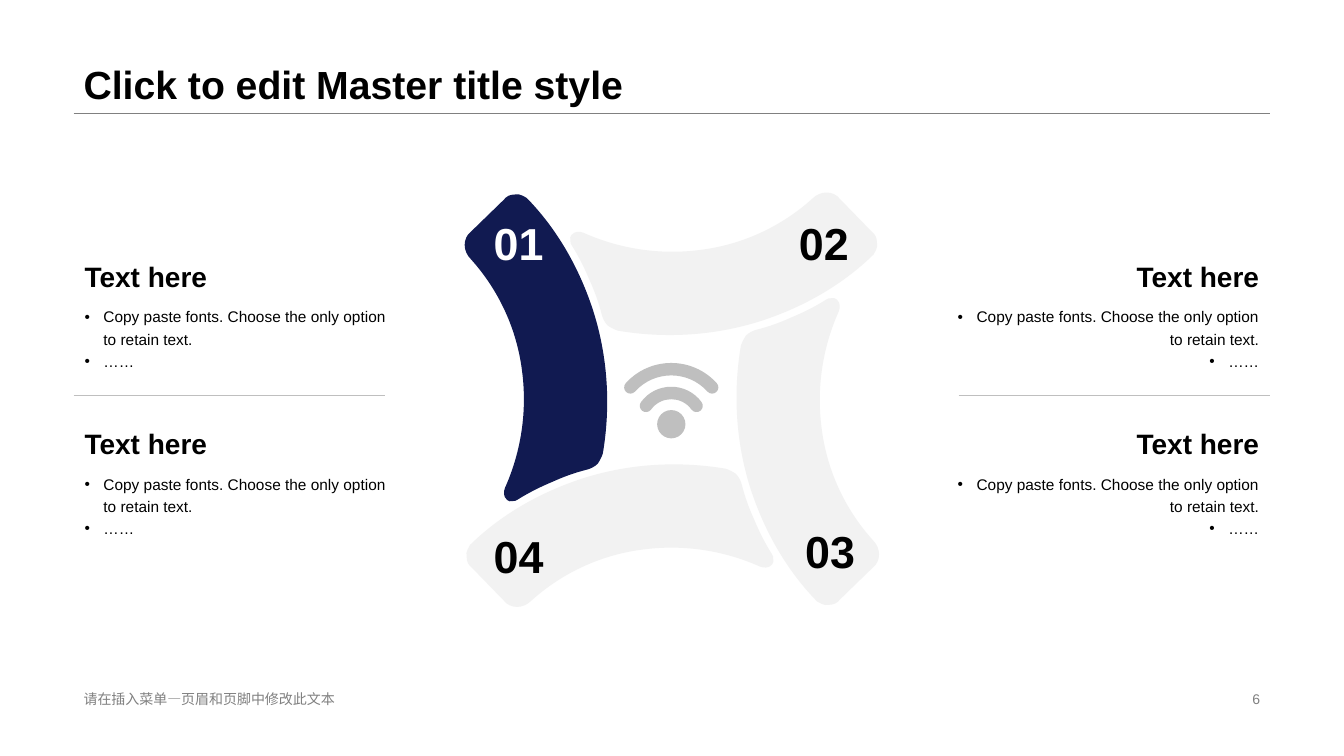
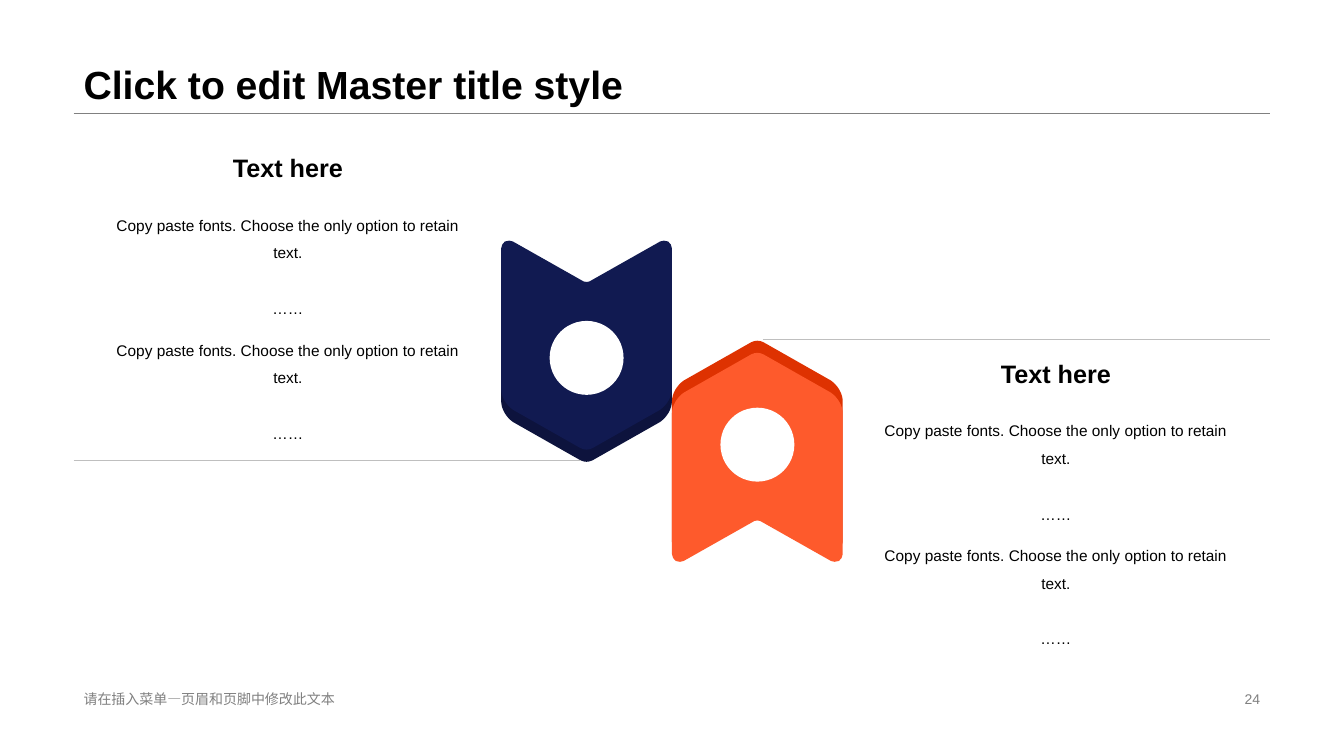
import math

from lxml import etree
from pptx import Presentation
from pptx.dml.color import RGBColor
from pptx.enum.shapes import MSO_CONNECTOR, MSO_SHAPE
from pptx.enum.text import MSO_ANCHOR, PP_ALIGN
from pptx.oxml.ns import qn
from pptx.util import Pt

LEFT, CENTER, RIGHT = PP_ALIGN.LEFT, PP_ALIGN.CENTER, PP_ALIGN.RIGHT
TOP, MIDDLE, BOTTOM = MSO_ANCHOR.TOP, MSO_ANCHOR.MIDDLE, MSO_ANCHOR.BOTTOM
STRAIGHT, ELLIPSE = MSO_CONNECTOR.STRAIGHT, MSO_SHAPE.OVAL

COLORS = {
    "text": "000000", "white": "FFFFFF", "muted": "808080", "rule": "BFBFBF",
    "pale": "F2F2F2", "navy": "111A51", "navy_dark": "0D133D",
    "orange": "FE5A2C", "orange_dark": "DE3201",
}
FONT = "Arial"
MARGIN, RIGHT_EDGE = 52.6, 907.2
TITLE = "Click to edit Master title style"
FOOTER = "请在插入菜单—页眉和页脚中修改此文本"
HEADING = "Text here"
BODY = ["Copy paste fonts. Choose the only option to retain text.", "……"]

# Outlines: one point is a straight edge, three points are a cubic curve.
# Blade points are measured from the centre of the pinwheel.
BLADE = [
    [(-63, -119.2)],
    [(-37.1, -107.6), (-8.3, -103.3), (19.8, -106.9)],
    [(50, -110.5), (78.1, -123.5), (100.4, -143.6)],
    [(103.3, -146.5), (106.9, -148), (110.5, -148)],
    [(114.1, -148), (117.7, -146.5), (119.9, -143.6)],
    [(142.9, -119.9)],
    [(145.1, -118.4), (146.5, -115.6), (146.5, -112.7)],
    [(147.2, -110.5), (146.5, -108.4), (145.8, -106.9)],
    [(145.1, -104.8), (143.6, -102.6), (141.5, -101.2)],
    [(119.2, -80.3), (91.8, -65.2), (62.3, -55.8)],
    [(29.9, -45.7), (-4.7, -43.6), (-38.5, -49.3)],
    [(-40.7, -50), (-43.6, -51.5), (-45.7, -52.9)],
    [(-47.9, -55.1), (-49.3, -58), (-50, -60.8)],
    [(-52.2, -69.5), (-55.1, -77.4), (-58.7, -85.3)],
    [(-62.3, -94), (-66.6, -102.6), (-71.6, -110.5)],
    [(-72.4, -111.2), (-72.4, -112.7), (-72.4, -113.4)],
    [(-73.1, -114.8), (-72.4, -117), (-71.6, -117.7)],
    [(-70.2, -119.2), (-68.8, -119.9), (-67.3, -119.9)],
    [(-65.9, -119.9), (-64.4, -119.9), (-63, -119.2)],
]
# Tag points are measured from its tip, which points down.
TAG = [
    [(-61, -43.9)],
    [(-61, -38.2), (-57.6, -32.4), (-52.6, -28.8)],
    [(-4.3, -1.4)],
    [(-1.4, 0), (1.4, 0), (4.3, -1.4)],
    [(52.6, -28.8)],
    [(57.6, -32.4), (61, -38.2), (61, -43.9)],
    [(61, -144)],
    [(61, -146.2), (59.8, -147.6), (58.3, -149)],
    [(56.2, -149.8), (54, -149.8), (52.6, -149)],
    [(4.3, -121.7)],
    [(1.4, -119.5), (-1.4, -119.5), (-4.3, -121.7)],
    [(-52.6, -149)],
    [(-54, -149.8), (-56.2, -149.8), (-58.3, -149)],
    [(-59.8, -147.6), (-61, -146.2), (-61, -144)],
]


def on_circle(center, radius, angle):
    """A point on a circle; the angle is in degrees, clockwise from the top."""
    turn = math.radians(angle)
    return center[0] + radius * math.sin(turn), center[1] - radius * math.cos(turn)


def arc(center, radius, start, end):
    """One cubic curve that follows a circle from start to end."""
    handle = radius * 4 / 3 * math.tan(math.radians(end - start) / 4)
    first, last = on_circle(center, radius, start), on_circle(center, radius, end)
    return [on_circle(first, handle, start + 90), on_circle(last, handle, end - 90), last]


def signal_band(radius, width, angle):
    """An arc of even width with round ends, around (0, 0)."""
    origin, half = (0, 0), width / 2
    right_end = on_circle(origin, radius, angle)
    left_end = on_circle(origin, radius, -angle)
    return [
        [on_circle(origin, radius + half, -angle)],
        arc(origin, radius + half, -angle, angle),
        arc(right_end, half, angle, angle + 90),
        arc(right_end, half, angle + 90, angle + 180),
        arc(origin, radius - half, angle, -angle),
        arc(left_end, half, 180 - angle, 270 - angle),
        arc(left_end, half, 270 - angle, 360 - angle),
    ]


class Deck:
    def __init__(self):
        self.presentation = Presentation()
        self.presentation.slide_width = Pt(960)
        self.presentation.slide_height = Pt(540)
        self.slide = None

    def new_slide(self, number):
        """Start a slide with its title, rule and footer."""
        self.slide = self.presentation.slides.add_slide(self.presentation.slide_layouts[6])
        width = RIGHT_EDGE - MARGIN
        self.line(MARGIN, RIGHT_EDGE, 80.6, "muted")
        self.text(MARGIN, 0, width, 80.6, [TITLE], 28, bold=True, anchor=BOTTOM, spacing=0.9)
        self.text(MARGIN, 491, 326, 16.6, [FOOTER], 10, "muted", anchor=MIDDLE)
        self.text(RIGHT_EDGE - 229, 491, 229, 16.6, [str(number)], 10, "muted",
                  align=RIGHT, anchor=MIDDLE)

    def line(self, x1, x2, y, color):
        connector = self.slide.shapes.add_connector(STRAIGHT, Pt(x1), Pt(y), Pt(x2), Pt(y))
        connector.line.color.rgb = RGBColor.from_string(COLORS[color])
        connector.line.width = Pt(0.25)
        etree.SubElement(connector._element.spPr, qn("a:effectLst"))

    def text(self, x, y, width, height, lines, size, color="text", bold=False,
             align=LEFT, anchor=TOP, spacing=1.0, gap=0, bullets=False):
        box = self.slide.shapes.add_textbox(Pt(x), Pt(y), Pt(width), Pt(height))
        frame = box.text_frame
        frame.word_wrap = True
        frame.vertical_anchor = anchor
        frame.text = "\n".join(lines)
        for index, paragraph in enumerate(frame.paragraphs):
            paragraph.alignment = align
            paragraph.line_spacing = spacing
            if index and gap:
                paragraph.space_before = Pt(gap)
            if bullets:
                self.bullet(paragraph)
            for run in paragraph.runs:
                run.font.name = FONT
                run.font.size = Pt(size)
                run.font.bold = bold
                run.font.color.rgb = RGBColor.from_string(COLORS[color])

    def bullet(self, paragraph, indent=13.5):
        properties = paragraph._p.get_or_add_pPr()
        properties.set("marL", str(Pt(indent)))
        properties.set("indent", str(-Pt(indent)))
        etree.SubElement(properties, qn("a:buFont")).set("typeface", FONT)
        etree.SubElement(properties, qn("a:buChar")).set("char", "•")

    def paint(self, shape, color):
        shape.shadow.inherit = False
        shape.fill.solid()
        shape.fill.fore_color.rgb = RGBColor.from_string(COLORS[color])
        shape.line.fill.background()

    def dot(self, x, y, diameter, color):
        radius = diameter / 2
        self.paint(self.slide.shapes.add_shape(
            ELLIPSE, Pt(x - radius), Pt(y - radius), Pt(diameter), Pt(diameter)), color)

    def outline(self, segments, x, y, color, turn=0):
        """Draw an outline around (x, y), turned clockwise by some degrees."""
        cos, sin = math.cos(math.radians(turn)), math.sin(math.radians(turn))
        points = [(Pt(x + px * cos - py * sin), Pt(y + px * sin + py * cos))
                  for segment in segments for px, py in segment]
        builder = self.slide.shapes.build_freeform(*points[0])
        builder.add_line_segments(points[1:], close=True)
        shape = builder.convert_to_shape()
        # Join every three edges of a curve into one cubic segment
        edges = iter(list(shape._element.iter(qn("a:lnTo"))))
        for segment in segments[1:]:
            parts = [next(edges) for _ in segment]
            if len(parts) == 3:
                curve = etree.Element(qn("a:cubicBezTo"))
                parts[0].addprevious(curve)
                for part in parts:
                    curve.append(part[0])
                    part.getparent().remove(part)
        self.paint(shape, color)


def pinwheel_slide(deck):
    deck.new_slide(6)
    # Four blades, one turned shape
    for turn, color in ((0, "pale"), (270, "navy"), (180, "pale"), (90, "pale")):
        deck.outline(BLADE, 479.9, 285.5, color, turn)
    for label, x, y, color in (("01", 344.9, 150.5, "white"), ("02", 563, 150.5, "text"),
                               ("03", 567.4, 370.1, "text"), ("04", 344.9, 373.7, "text")):
        deck.text(x, y, 50.4, 46.1, [label], 32, color, True, RIGHT, MIDDLE)
    # Text blocks at both sides
    for x, align in ((668.2, RIGHT), (53.3, LEFT)):
        for y in (183, 302.5):
            deck.text(x, y, 238.3, 30.2, [HEADING], 20, bold=True, align=align,
                      anchor=BOTTOM, spacing=0.9)
            deck.text(x, y + 30.5, 238.3, 56.9, BODY, 11, align=align,
                      spacing=1.2, bullets=True)
    for x in (MARGIN, RIGHT_EDGE - 222.5):
        deck.line(x, x + 222.5, 282, "rule")
    # Signal icon
    deck.dot(479.5, 303, 20.2, "rule")
    for radius, angle in ((22.3, 54), (39.3, 48)):
        deck.outline(signal_band(radius, 8.9, angle), 479.5, 303, "rule")


def tags_slide(deck):
    deck.new_slide(24)
    # Tags with a darker edge; way is the direction from tip to body
    for x, tip, way, turn, color in ((419, 330.2, -1, 0, "navy"),
                                     (541, 243, 1, 180, "orange")):
        deck.outline(TAG, x, tip, color + "_dark", turn)
        deck.outline(TAG, x, tip + way * 8.7, color, turn)
        deck.dot(x, tip + way * 74.6, 52.8, "white")
    deck.line(MARGIN, 415, 329, "rule")
    deck.line(545, RIGHT_EDGE, 242.6, "rule")
    # Text blocks
    for x, y in ((70.6, 102.2), (619.2, 249.1)):
        deck.text(x, y, 270, 34.6, [HEADING], 18, bold=True, align=CENTER, anchor=MIDDLE)
        for offset in (41.8, 131):
            deck.text(x, y + offset, 270, 89.2, BODY, 11, align=CENTER,
                      spacing=1.5, gap=19.8)


def main():
    deck = Deck()
    pinwheel_slide(deck)
    tags_slide(deck)
    deck.presentation.save("out.pptx")


if __name__ == "__main__":
    main()
